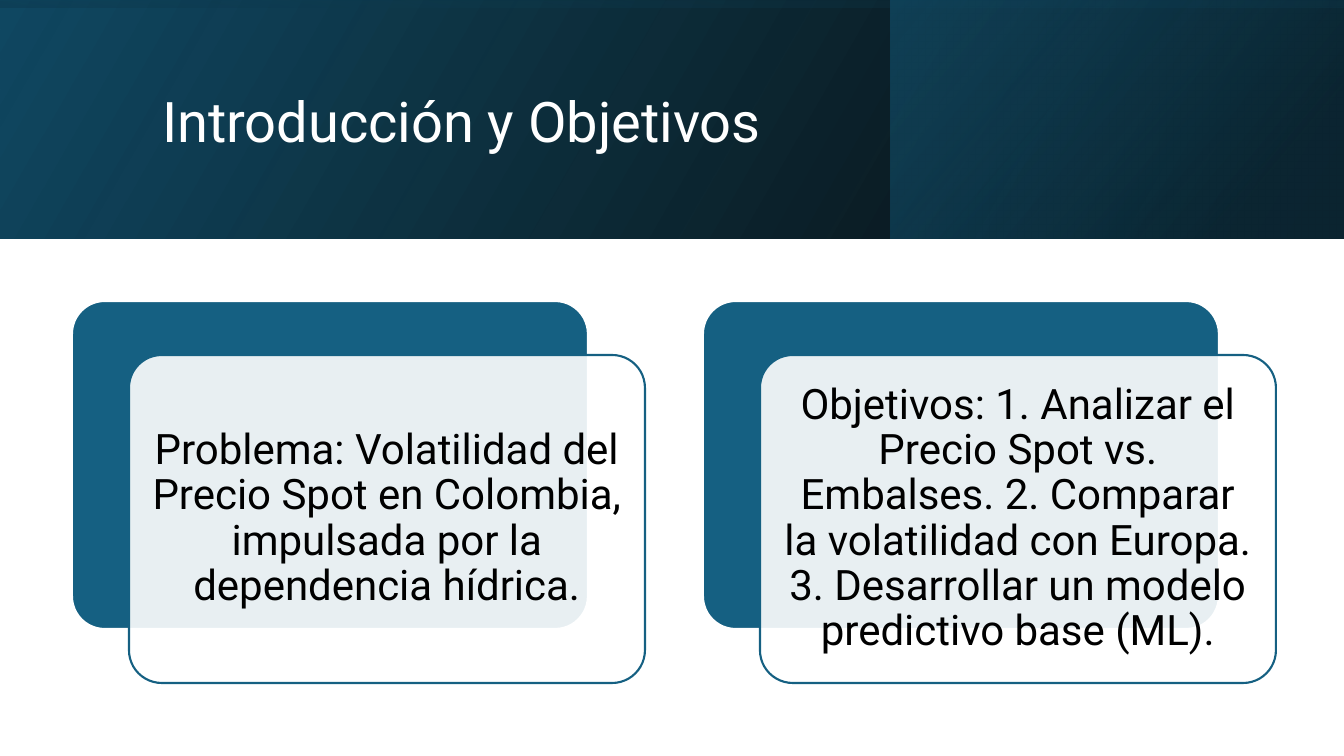
"""Build the slide that introduces the problem and the goals."""
from collections import namedtuple
from pptx import Presentation
from pptx.dml.color import RGBColor
from pptx.enum.shapes import MSO_SHAPE
from pptx.enum.text import MSO_ANCHOR, PP_ALIGN
from pptx.oxml import parse_xml
from pptx.oxml.ns import nsdecls, qn
from pptx.util import Pt

TITLE = "Introducción y Objetivos"
CARDS = [
    "Problema: Volatilidad del Precio Spot en Colombia, impulsada por la dependencia hídrica.",
    "Objetivos: 1. Analizar el Precio Spot vs. Embalses. 2. Comparar la volatilidad con Europa. "
    "3. Desarrollar un modelo predictivo base (ML).",
]

Theme = namedtuple("Theme", "font white black teal deep navy head body edge")
LOOK = Theme("Roboto", "FFFFFF", "000000", "156082", "104862", "0B3041", 40, 30, 1.5)

SCALE = 914400 / 100.8
WIDE, HIGH, BAND = 1344, 756, 239
SIDE = (WIDE - BAND) // 2
BANDS = [
    ((0, 0, WIDE, BAND), 0, 330, [(0, LOOK.black, 96), (100, LOOK.deep, 100)]),
    ((891, 0, 452, BAND), 0, 320, [(19, LOOK.navy, 68), (100, LOOK.teal, 48)]),
    ((SIDE, -SIDE, BAND, WIDE), 270, 350, [(23, LOOK.deep, 16), (99, LOOK.black, 45)]),
]
HEAD = (152, 38, 1072, 173)
LEFT, TOP, STEP = 72, 301, 631
CARD_W, CARD_H = 516, 328
SHIFT_X, SHIFT_Y = 57, 54
INSET = 12


def px(count):
    return round(count * SCALE)


def tint(code):
    return RGBColor.from_string(code)


def add_band(slide, box, turn, angle, stops):
    band = slide.shapes.add_shape(MSO_SHAPE.RECTANGLE, *map(px, box))
    band.shadow.inherit = False
    band.line.fill.background()
    band.rotation = turn
    props = band.element.spPr
    props.find(qn("a:xfrm")).set("flipH", "1")
    marks = "".join(
        f'<a:gs pos="{pos * 1000}"><a:srgbClr val="{code}">'
        f'<a:alpha val="{alpha * 1000}"/></a:srgbClr></a:gs>'
        for pos, code, alpha in stops
    )
    blend = parse_xml(
        f'<a:gradFill {nsdecls("a")} rotWithShape="1"><a:gsLst>{marks}</a:gsLst>'
        f'<a:lin ang="{angle * 60000}" scaled="0"/></a:gradFill>'
    )
    props.find(qn("a:prstGeom")).addnext(blend)


def write(frame, text, size, code, align):
    frame.word_wrap = True
    frame.vertical_anchor = MSO_ANCHOR.MIDDLE
    para = frame.paragraphs[0]
    para.alignment = align
    para.line_spacing = 0.9
    run = para.add_run()
    run.text = text
    run.font.name = LOOK.font
    run.font.size = Pt(size)
    run.font.color.rgb = tint(code)


def add_plate(group, left, top, fill, edge):
    plate = group.shapes.add_shape(
        MSO_SHAPE.ROUNDED_RECTANGLE, *map(px, (left, top, CARD_W, CARD_H)))
    plate.adjustments[0] = 0.1
    plate.shadow.inherit = False
    plate.fill.solid()
    plate.fill.fore_color.rgb = tint(fill)
    plate.line.color.rgb = tint(edge)
    plate.line.width = Pt(LOOK.edge)
    return plate


def add_card(slide, left, text):
    group = slide.shapes.add_group_shape()
    add_plate(group, left, TOP, LOOK.teal, LOOK.white)
    front = add_plate(group, left + SHIFT_X, TOP + SHIFT_Y, LOOK.white, LOOK.teal)
    paint = front.element.spPr.find(qn("a:solidFill")).find(qn("a:srgbClr"))
    paint.append(parse_xml(f'<a:alpha {nsdecls("a")} val="90000"/>'))
    frame = front.text_frame
    frame.margin_left = frame.margin_right = px(INSET)
    frame.margin_top = frame.margin_bottom = px(INSET)
    write(frame, text, LOOK.body, LOOK.black, PP_ALIGN.CENTER)


def main():
    deck = Presentation()
    deck.slide_width, deck.slide_height = px(WIDE), px(HIGH)
    slide = deck.slides.add_slide(deck.slide_layouts[5])
    for band in BANDS:
        add_band(slide, *band)
    title = slide.shapes.title
    title.left, title.top, title.width, title.height = map(px, HEAD)
    write(title.text_frame, TITLE, LOOK.head, LOOK.white, PP_ALIGN.LEFT)
    slide.shapes.element.append(title.element)
    for rank, text in enumerate(CARDS):
        add_card(slide, LEFT + rank * STEP, text)
    deck.save("out.pptx")


if __name__ == "__main__":
    main()
